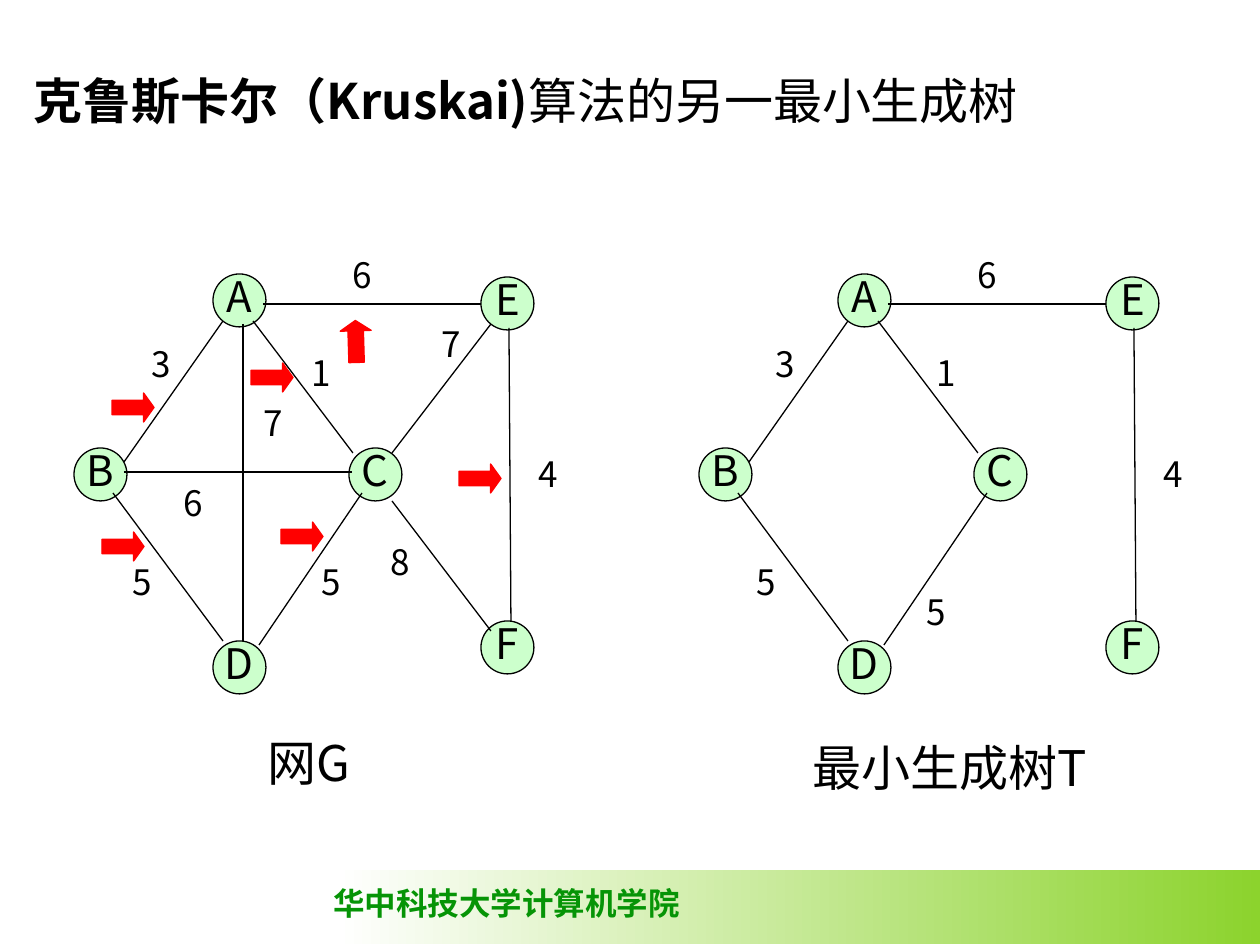
from dataclasses import dataclass
from typing import Optional

from lxml import etree
from pptx import Presentation
from pptx import util as u
from pptx.dml.color import RGBColor
from pptx.enum import shapes, text
from pptx.oxml.ns import qn

PX = u.Inches(1) // 126
SANS = "Noto Sans CJK SC"
BLACK, NODE_GREEN, RED = "000000", "CCFFCC", "FF0000"
NODE_SIZE = 53
TREE_SHIFT = 625


@dataclass(frozen=True)
class Node:
    name: str
    left: int
    top: int


@dataclass(frozen=True)
class Edge:
    start: tuple[int, int]
    end: tuple[int, int]
    weight: int
    label: tuple[int, int]
    in_tree: bool = True
    tree_label: Optional[tuple[int, int]] = None


@dataclass(frozen=True)
class Pointer:
    left: int
    top: int
    height: int = 29
    rotation: float = 0
    head: float = 0.358


NODES = [
    Node("C", 349, 448),
    Node("A", 213, 274),
    Node("D", 213, 641),
    Node("E", 481, 277),
    Node("B", 74, 448),
    Node("F", 481, 621),
]
EDGES = [
    Edge((223, 321), (124, 462), 3, (151, 354)),
    Edge((113, 493), (223, 641), 5, (132, 572)),
    Edge((124, 472), (352, 472), 6, (184, 493), in_tree=False),
    Edge((243, 324), (243, 641), 7, (263, 413), in_tree=False),
    Edge((253, 321), (353, 453), 1, (312, 363)),
    Edge((362, 493), (259, 645), 5, (321, 572), tree_label=(301, 602)),
    Edge((491, 324), (392, 453), 7, (442, 334), in_tree=False),
    Edge((392, 501), (491, 631), 8, (391, 552), in_tree=False),
    Edge((509, 328), (511, 621), 4, (539, 464)),
    Edge((263, 304), (481, 304), 6, (353, 265)),
]
POINTERS = [
    Pointer(251, 363),
    Pointer(112, 393),
    Pointer(459, 464),
    Pointer(102, 532),
    Pointer(281, 522),
    Pointer(335, 326, height=31, rotation=268.3, head=0.332),
]


def rgb(hex_colour: str) -> RGBColor:
    return RGBColor.from_string(hex_colour)


def box(left: int, top: int, width: int, height: int) -> list[int]:
    return [length * PX for length in (left, top, width, height)]


def add_run(paragraph, words: str, size: int, colour: str = BLACK,
            bold: bool = False, face: str = SANS) -> None:
    run = paragraph.add_run()
    run.text = words
    for name, value in {"size": u.Pt(size), "bold": bold, "name": face}.items():
        setattr(run.font, name, value)
    run.font.color.rgb = rgb(colour)
    east_asian = etree.SubElement(run.font._element, qn("a:ea"))
    east_asian.set("typeface", SANS)


def add_text(slide, place: list[int], words: str, size: int, margins: bool = True,
             wrap: bool = False, spacing: Optional[float] = None, **style) -> None:
    frame = slide.shapes.add_textbox(*place).text_frame
    frame.word_wrap = wrap
    frame.auto_size = text.MSO_AUTO_SIZE.SHAPE_TO_FIT_TEXT
    if not margins:
        for side in ("left", "top", "right", "bottom"):
            setattr(frame, f"margin_{side}", 0)
    paragraph = frame.paragraphs[0]
    if spacing:
        paragraph.line_spacing = spacing
    add_run(paragraph, words, size, **style)


def add_solid(slide, kind, place: list[int], fill: str, line: str):
    shape = slide.shapes.add_shape(kind, *place)
    shape.shadow.inherit = False
    shape.fill.solid()
    shape.fill.fore_color.rgb = rgb(fill)
    shape.line.color.rgb = rgb(line)
    shape.line.width = u.Pt(0.75)
    return shape


def add_node(slide, node: Node, shift: int) -> None:
    place = box(node.left + shift, node.top, NODE_SIZE, NODE_SIZE)
    circle = add_solid(slide, shapes.MSO_SHAPE.OVAL, place, NODE_GREEN, BLACK)
    frame = circle.text_frame
    frame.word_wrap = False
    frame.vertical_anchor = text.MSO_ANCHOR.MIDDLE
    paragraph = frame.paragraphs[0]
    paragraph.alignment = text.PP_ALIGN.CENTER
    paragraph.line_spacing = 0.8
    add_run(paragraph, node.name, 24)


def add_edge(slide, edge: Edge, label: tuple[int, int], shift: int) -> None:
    (x1, y1), (x2, y2) = edge.start, edge.end
    line = slide.shapes.add_connector(
        shapes.MSO_CONNECTOR.STRAIGHT, *box(x1 + shift, y1, x2 + shift, y2))
    line.line.color.rgb = rgb(BLACK)
    line.line.width = u.Pt(0.75)
    etree.SubElement(line._element.spPr, qn("a:effectLst"))
    add_text(slide, box(label[0] + shift, label[1], 21, 29), str(edge.weight), 20,
             margins=False, wrap=True, spacing=0.7)


def add_graph(slide, tree_only: bool, shift: int = 0) -> None:
    for node in NODES:
        add_node(slide, node, shift)
    for edge in EDGES:
        if edge.in_tree or not tree_only:
            label = edge.tree_label if tree_only and edge.tree_label else edge.label
            add_edge(slide, edge, label, shift)


def add_pointer(slide, pointer: Pointer) -> None:
    place = box(pointer.left, pointer.top, 42, pointer.height)
    arrow = add_solid(slide, shapes.MSO_SHAPE.RIGHT_ARROW, place, RED, RED)
    arrow.adjustments[0] = 0.5
    arrow.adjustments[1] = pointer.head
    arrow.rotation = pointer.rotation


def add_footer(slide) -> None:
    band = slide.shapes.add_shape(shapes.MSO_SHAPE.RECTANGLE, *box(336, 870, 924, 74))
    band.shadow.inherit = False
    band.line.fill.background()
    band.fill.gradient()
    band.fill.gradient_angle = 180
    for stop, colour in zip(band.fill.gradient_stops, ("8CD32D", "FFFFFF")):
        stop.color.rgb = rgb(colour)
    add_text(slide, box(321, 878, 372, 50), "华中科技大学计算机学院", 18,
             colour="069406", bold=True, face="Times New Roman")


def add_title(slide) -> None:
    frame = slide.shapes.add_textbox(*box(21, 58, 1040, 147)).text_frame
    frame.word_wrap = True
    paragraph = frame.paragraphs[0]
    paragraph.line_spacing = 1.1
    add_run(paragraph, "克鲁斯卡尔（Kruskai)", 28, bold=True)
    add_run(paragraph, "算法的另一最小生成树", 28)


def main() -> None:
    deck = Presentation()
    deck.slide_width, deck.slide_height = u.Inches(10), u.Inches(7.5)
    slide = deck.slides.add_slide(deck.slide_layouts[6])
    add_footer(slide)
    add_title(slide)
    add_graph(slide, tree_only=False)
    add_text(slide, box(255, 726, 115, 72), "网G", 28, wrap=True)
    add_graph(slide, tree_only=True, shift=TREE_SHIFT)
    for pointer in POINTERS:
        add_pointer(slide, pointer)
    add_text(slide, box(800, 731, 311, 72), "最小生成树T", 28)
    deck.save("out.pptx")


if __name__ == "__main__":
    main()
